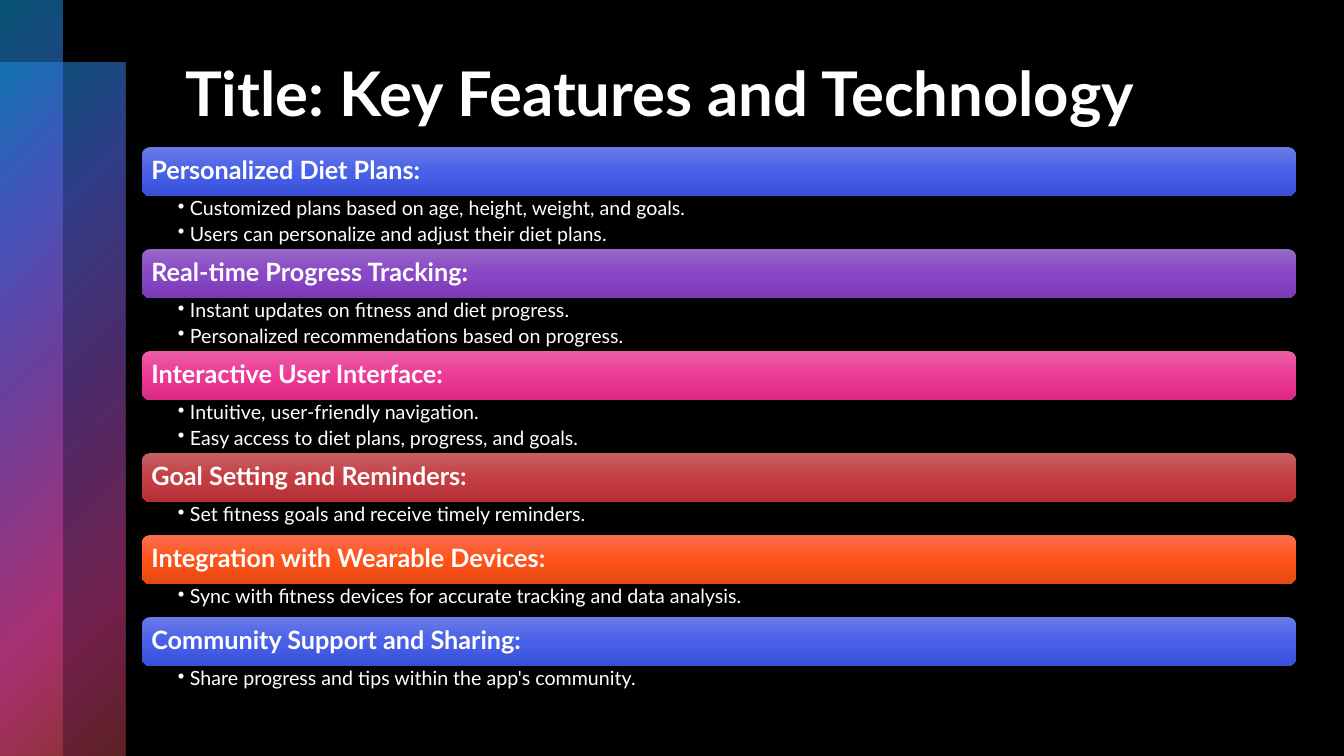
from dataclasses import dataclass

from pptx import Presentation
from pptx.dml.color import RGBColor
from pptx.enum.shapes import MSO_SHAPE
from pptx.enum.text import MSO_ANCHOR, PP_ALIGN
from pptx.oxml import parse_xml
from pptx.oxml.ns import nsdecls, qn
from pptx.oxml.xmlchemy import OxmlElement
from pptx.util import Emu, Pt

RECT, ROUND = MSO_SHAPE.RECTANGLE, MSO_SHAPE.ROUNDED_RECTANGLE
TOP, MIDDLE = MSO_ANCHOR.TOP, MSO_ANCHOR.MIDDLE
LEFT = PP_ALIGN.LEFT
FONT = "Lato"
SCALE = 914400 / 100.8  # EMU in one px
BAR_X, BAR_Y, BAR_W, BAR_H = 142, 147, 1154, 49
LIST_H = {1: 33, 2: 53}

COLORS = {
    "black": "000000", "white": "FFFFFF",
    "sky": "0BA5E8", "indigo": "5066E1", "violet": "894EC0",
    "rose": "E54196", "brick": "BE4449",
}
SHADES = {
    "blue": ("697AE6", "4961E8", "3850D7"),
    "purple": ("9668C7", "8948C6", "7A3AB6"),
    "pink": ("EA60A2", "ED3996", "DC2986"),
    "red": ("C66164", "C43E43", "B53036"),
    "orange": ("F96F51", "FF5318", "E54913"),
}


@dataclass(frozen=True)
class Box:
    x: int
    y: int
    w: int
    h: int


@dataclass(frozen=True)
class Stop:
    pos: int
    color: str
    alpha: int = 100


@dataclass(frozen=True)
class Feature:
    name: str
    shade: str
    points: tuple[str, ...]


FEATURES = (
    Feature("Personalized Diet Plans:", "blue", (
        "Customized plans based on age, height, weight, and goals.",
        "Users can personalize and adjust their diet plans.")),
    Feature("Real-time Progress Tracking:", "purple", (
        "Instant updates on fitness and diet progress.",
        "Personalized recommendations based on progress.")),
    Feature("Interactive User Interface:", "pink", (
        "Intuitive, user-friendly navigation.",
        "Easy access to diet plans, progress, and goals.")),
    Feature("Goal Setting and Reminders:", "red", (
        "Set fitness goals and receive timely reminders.",)),
    Feature("Integration with Wearable Devices:", "orange", (
        "Sync with fitness devices for accurate tracking and data analysis.",)),
    Feature("Community Support and Sharing:", "blue", (
        "Share progress and tips within the app's community.",)),
)
RADIAL = ('<a:path path="circle"><a:fillToRect l="0" t="0" r="100000" '
          'b="100000"/></a:path>')
DOWN = '<a:lin ang="5400000" scaled="0"/>'


def px(size: int) -> Emu:
    return Emu(round(size * SCALE))


def place(box: Box) -> tuple[Emu, ...]:
    return px(box.x), px(box.y), px(box.w), px(box.h)


def add_panel(slide, kind, box: Box, stops: list[Stop], course: str):
    """Add a borderless shape with a gradient that follows the given course."""
    shape = slide.shapes.add_shape(kind, *place(box))
    shape.shadow.inherit = False
    shape.line.fill.background()
    shape.fill.gradient()
    marks = "".join(
        f'<a:gs pos="{s.pos * 1000}"><a:srgbClr val="{s.color}">'
        f'<a:alpha val="{s.alpha * 1000}"/></a:srgbClr></a:gs>' for s in stops)
    props = shape._element.spPr
    props.replace(props.find(qn("a:gradFill")), parse_xml(
        f'<a:gradFill rotWithShape="1" {nsdecls("a")}>'
        f'<a:gsLst>{marks}</a:gsLst>{course}</a:gradFill>'))
    return shape


def add_bullet(para, indent: int) -> None:
    props = para._p.get_or_add_pPr()
    props.set("marL", str(px(indent)))
    props.set("indent", str(-px(indent)))
    mark = OxmlElement("a:buChar")
    mark.set("char", "•")
    props.append(mark)


def write(shape, lines: tuple[str, ...], *, size: int, bold: bool = False,
          anchor=TOP, inset: tuple[int, int, int, int] = (10, 5, 10, 5),
          spacing: float = 1.0, after: float = 0, bullet: bool = False) -> None:
    frame = shape.text_frame
    frame.word_wrap = True
    frame.vertical_anchor = anchor
    (frame.margin_left, frame.margin_top,
     frame.margin_right, frame.margin_bottom) = map(px, inset)
    for i, line in enumerate(lines):
        para = frame.add_paragraph() if i else frame.paragraphs[0]
        if bullet:
            add_bullet(para, 12)
        para.alignment = LEFT
        para.line_spacing = spacing
        para.space_after = Pt(after)
        run = para.add_run()
        run.text = line
        run.font.name = FONT
        run.font.size = Pt(size)
        run.font.bold = bold
        run.font.color.rgb = RGBColor.from_string(COLORS["white"])


def add_sides(slide) -> None:
    for box, mid in ((Box(0, 63, 126, 693), 50), (Box(0, 0, 63, 756), 49)):
        stops = [Stop(0, COLORS["sky"], 50), Stop(25, COLORS["indigo"], 60),
                 Stop(mid, COLORS["violet"], 55), Stop(81, COLORS["rose"], 50),
                 Stop(99, COLORS["brick"], 50)]
        add_panel(slide, RECT, box, stops, RADIAL)


def add_feature(slide, feature: Feature, top: int) -> int:
    """Draw a heading bar with its points and return the next top."""
    stops = [Stop(50 * i, c) for i, c in enumerate(SHADES[feature.shade])]
    bar = add_panel(slide, ROUND, Box(BAR_X, top, BAR_W, BAR_H), stops, DOWN)
    write(bar, (feature.name,), size=18, bold=True, anchor=MIDDLE,
          inset=(7, 7, 7, 7), spacing=0.9)
    top += BAR_H
    high = LIST_H[len(feature.points)]
    body = slide.shapes.add_textbox(*place(Box(BAR_X, top, BAR_W, high)))
    write(body, feature.points, size=14, inset=(36, 3, 14, 3),
          spacing=0.9, after=2.8, bullet=True)
    return top + high


def main() -> None:
    deck = Presentation()
    deck.slide_width, deck.slide_height = px(1344), px(756)
    slide = deck.slides.add_slide(deck.slide_layouts[6])
    back = slide.background.fill
    back.solid()
    back.fore_color.rgb = RGBColor.from_string(COLORS["black"])
    add_sides(slide)
    title = slide.shapes.add_textbox(*place(Box(175, 50, 1089, 171)))
    write(title, ("Title: Key Features and Technology",), size=44, bold=True,
          after=6)
    top = BAR_Y
    for feature in FEATURES:
        top = add_feature(slide, feature, top)
    deck.save("out.pptx")


if __name__ == "__main__":
    main()
